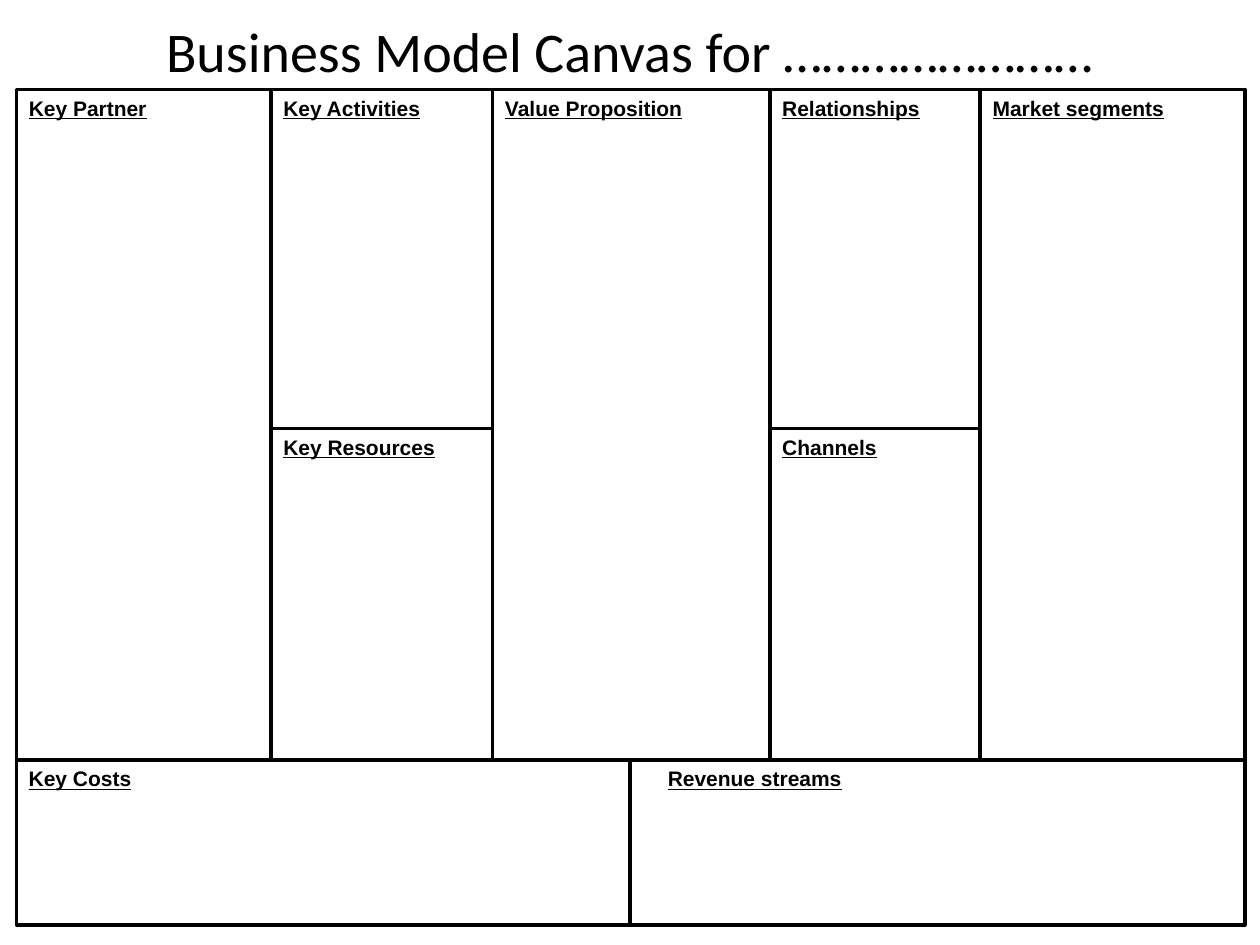
"""Build a blank Business Model Canvas slide."""
from dataclasses import dataclass

from pptx import Presentation
from pptx import util as u
from pptx.dml import color
from pptx.enum import shapes, text


@dataclass(frozen=True)
class Theme:
    ink: color.RGBColor = color.RGBColor(0, 0, 0)
    paper: color.RGBColor = color.RGBColor(255, 255, 255)
    title_font: str = "Calibri"
    heading_font: str = "Arial"
    title_size: int = 32
    heading_size: int = 12
    border: int = 2


theme = Theme()


def write(frame, wording, *, font, size, align=text.PP_ALIGN.LEFT,
          bold=False, underline=False, inset=0.1):
    frame.word_wrap = True
    frame.vertical_anchor = text.MSO_ANCHOR.TOP
    frame.margin_left, frame.margin_right = u.Inches(inset), u.Inches(0.1)
    frame.margin_top = frame.margin_bottom = u.Inches(0.05)
    paragraph = frame.paragraphs[0]
    paragraph.alignment = align
    run = paragraph.add_run()
    run.text = wording
    run.font.name = font
    run.font.size = u.Pt(size)
    run.font.bold = bold
    run.font.underline = underline
    run.font.color.rgb = theme.ink


deck = Presentation()
deck.slide_width, deck.slide_height = u.Inches(10), u.Inches(7.5)
canvas = deck.slides.add_slide(deck.slide_layouts[6])

left, partner_end, activity_end, value_end, relation_end, right = (
    0.13, 2.15, 3.91, 6.11, 7.78, 9.88)
top, middle, base, bottom = 0.71, 3.4, 6.03, 7.34
centre = 5

blocks = [
    ("Value Proposition", activity_end, top, value_end, base),
    ("Channels", value_end, middle, relation_end, base),
    ("Relationships", value_end, top, relation_end, middle),
    ("Market segments", relation_end, top, right, base),
    ("Revenue streams", centre, base, right, bottom),
    ("Key Costs", left, base, centre, bottom),
    ("Key Partner", left, top, partner_end, base),
    ("Key Resources", partner_end, middle, activity_end, base),
    ("Key Activities", partner_end, top, activity_end, middle),
]

for heading, x1, y1, x2, y2 in blocks:
    block = canvas.shapes.add_shape(
        shapes.MSO_SHAPE.RECTANGLE, u.Inches(x1), u.Inches(y1),
        u.Inches(x2 - x1), u.Inches(y2 - y1))
    block.shadow.inherit = False
    block.line.color.rgb = theme.ink
    block.line.width = u.Pt(theme.border)
    is_revenue = heading == "Revenue streams"
    if is_revenue:
        block.fill.solid()
        block.fill.fore_color.rgb = theme.paper
    else:
        block.fill.background()
    write(block.text_frame, heading, font=theme.heading_font,
          size=theme.heading_size, bold=True, underline=True,
          inset=0.3 if is_revenue else 0.1)

title = canvas.shapes.add_textbox(
    u.Inches(0), u.Inches(0.08), u.Inches(10), u.Inches(0.64))
write(title.text_frame, "Business Model Canvas for ……………………",
      font=theme.title_font, size=theme.title_size,
      align=text.PP_ALIGN.CENTER)

deck.save("out.pptx")
